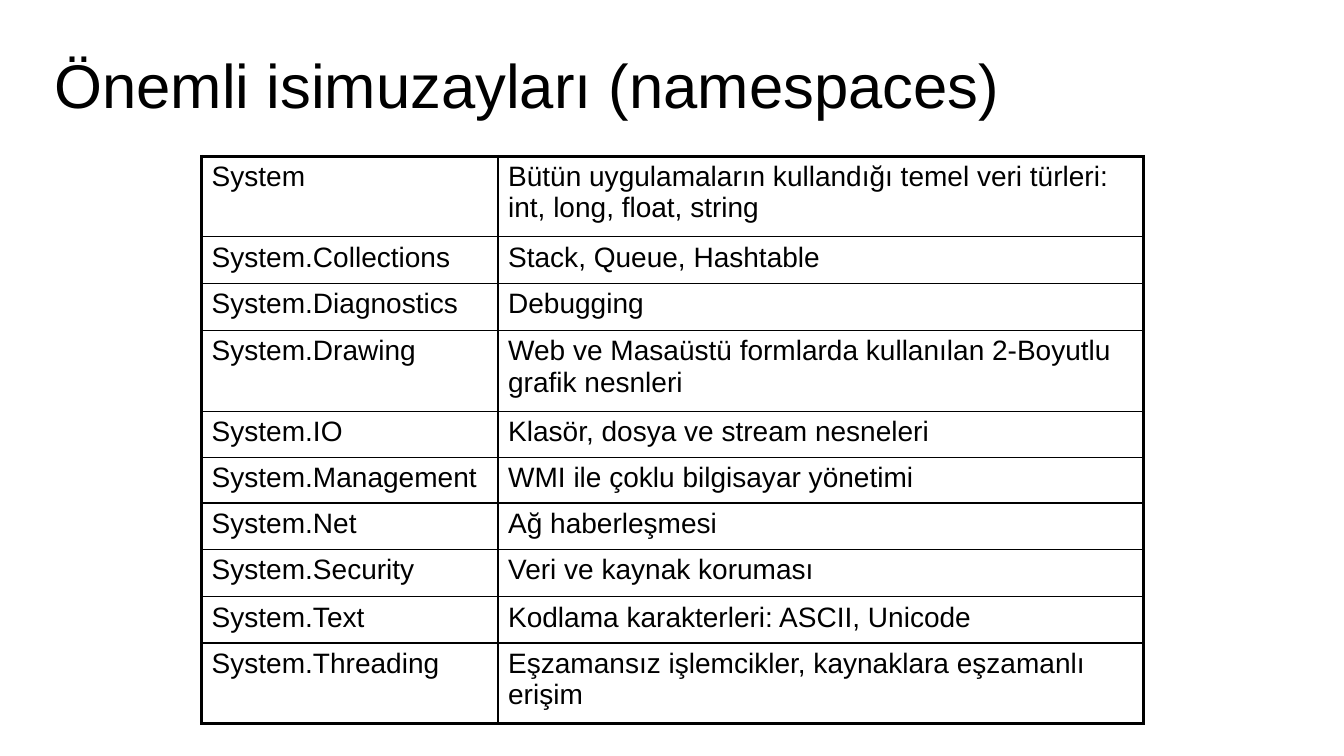
from lxml import etree
from pptx import Presentation
from pptx.dml.color import RGBColor
from pptx.enum.text import MSO_ANCHOR, PP_ALIGN
from pptx.oxml.ns import qn
from pptx.util import Inches, Pt

LEFT = PP_ALIGN.LEFT
MIDDLE = MSO_ANCHOR.MIDDLE
TITLE_ONLY = 5

NAMESPACES = [
    ("System", "Bütün uygulamaların kullandığı temel veri türleri: int, long, float, string", 0.8),
    ("System.Collections", "Stack, Queue, Hashtable", 0.46),
    ("System.Diagnostics", "Debugging", 0.47),
    ("System.Drawing", "Web ve Masaüstü formlarda kullanılan 2-Boyutlu grafik nesnleri", 0.8),
    ("System.IO", "Klasör, dosya ve stream nesneleri", 0.46),
    ("System.Management", "WMI ile çoklu bilgisayar yönetimi", 0.45),
    ("System.Net", "Ağ haberleşmesi", 0.46),
    ("System.Security", "Veri ve kaynak koruması", 0.47),
    ("System.Text", "Kodlama karakterleri: ASCII, Unicode", 0.46),
    ("System.Threading", "Eşzamansız işlemcikler, kaynaklara eşzamanlı erişim", 0.8),
]


def color(hex_string):
    return RGBColor.from_string(hex_string)


def write(frame, text, *, font, size, ink, line_spacing=None, before_percent=None):
    frame.word_wrap = True
    paragraph = frame.paragraphs[0]
    paragraph.alignment = LEFT
    if line_spacing is not None:
        paragraph.line_spacing = line_spacing
    if before_percent is not None:
        before = etree.SubElement(paragraph._p.get_or_add_pPr(), qn("a:spcBef"))
        etree.SubElement(before, qn("a:spcPct"), val=str(before_percent * 1000))
    run = paragraph.add_run()
    run.text = text
    run.font.name = font
    run.font.size = Pt(size)
    run.font.color.rgb = color(ink)


def draw_border(cell, side, width, ink):
    line = etree.Element(qn(f"a:ln{side}"), w=str(Pt(width)))
    fill = etree.SubElement(line, qn("a:solidFill"))
    etree.SubElement(fill, qn("a:srgbClr"), val=ink)
    return line


class Deck:
    font = "Arial"
    ink = "000000"
    title_size = 44
    cell_size = 20
    inner_line = 1
    outer_line = 2.25

    def __init__(self, presentation):
        self.slide = presentation.slides.add_slide(presentation.slide_layouts[TITLE_ONLY])

    def title(self, text, left, top, width, height):
        heading = self.slide.shapes.title
        heading.left, heading.top = Inches(left), Inches(top)
        heading.width, heading.height = Inches(width), Inches(height)
        heading.text_frame.vertical_anchor = MIDDLE
        write(heading.text_frame, text, font=self.font, size=self.title_size,
              ink=self.ink, line_spacing=0.9)

    def table(self, rows, left, top, column_widths):
        heights = [height for *_, height in rows]
        grid = self.slide.shapes.add_table(
            len(rows), len(column_widths), Inches(left), Inches(top),
            Inches(sum(column_widths)), Inches(sum(heights))).table
        grid.first_row = grid.horz_banding = False
        for column, width in zip(grid.columns, column_widths):
            column.width = Inches(width)
        last_row, last_column = len(rows) - 1, len(column_widths) - 1
        for r, (*texts, height) in enumerate(rows):
            grid.rows[r].height = Inches(height)
            for c, text in enumerate(texts):
                cell = grid.cell(r, c)
                write(cell.text_frame, text, font=self.font, size=self.cell_size,
                      ink=self.ink, before_percent=20)
                cell.fill.background()
                outer = {"L": c == 0, "R": c == last_column, "T": r == 0, "B": r == last_row}
                borders = [
                    draw_border(cell, side, self.outer_line if edge else self.inner_line, self.ink)
                    for side, edge in outer.items()]
                cell._tc.get_or_add_tcPr()[0:0] = borders


presentation = Presentation()
presentation.slide_width = Inches(13.33)
presentation.slide_height = Inches(7.5)

deck = Deck(presentation)
deck.title("Önemli isimuzayları (namespaces)", 0.44, 0.25, 12.45, 1.25)
deck.table(NAMESPACES, 2, 1.55, [2.94, 6.4])

presentation.save("out.pptx")
